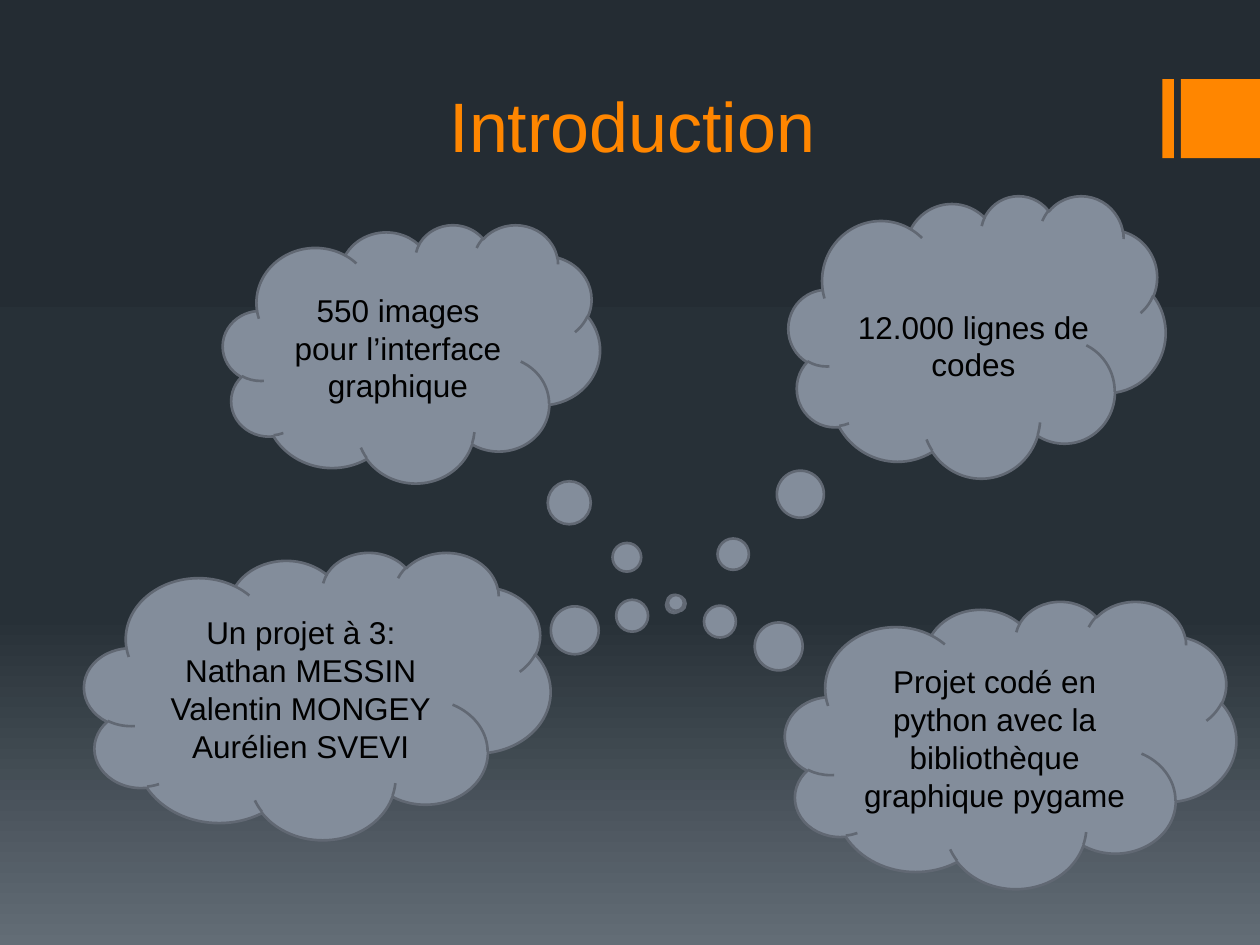
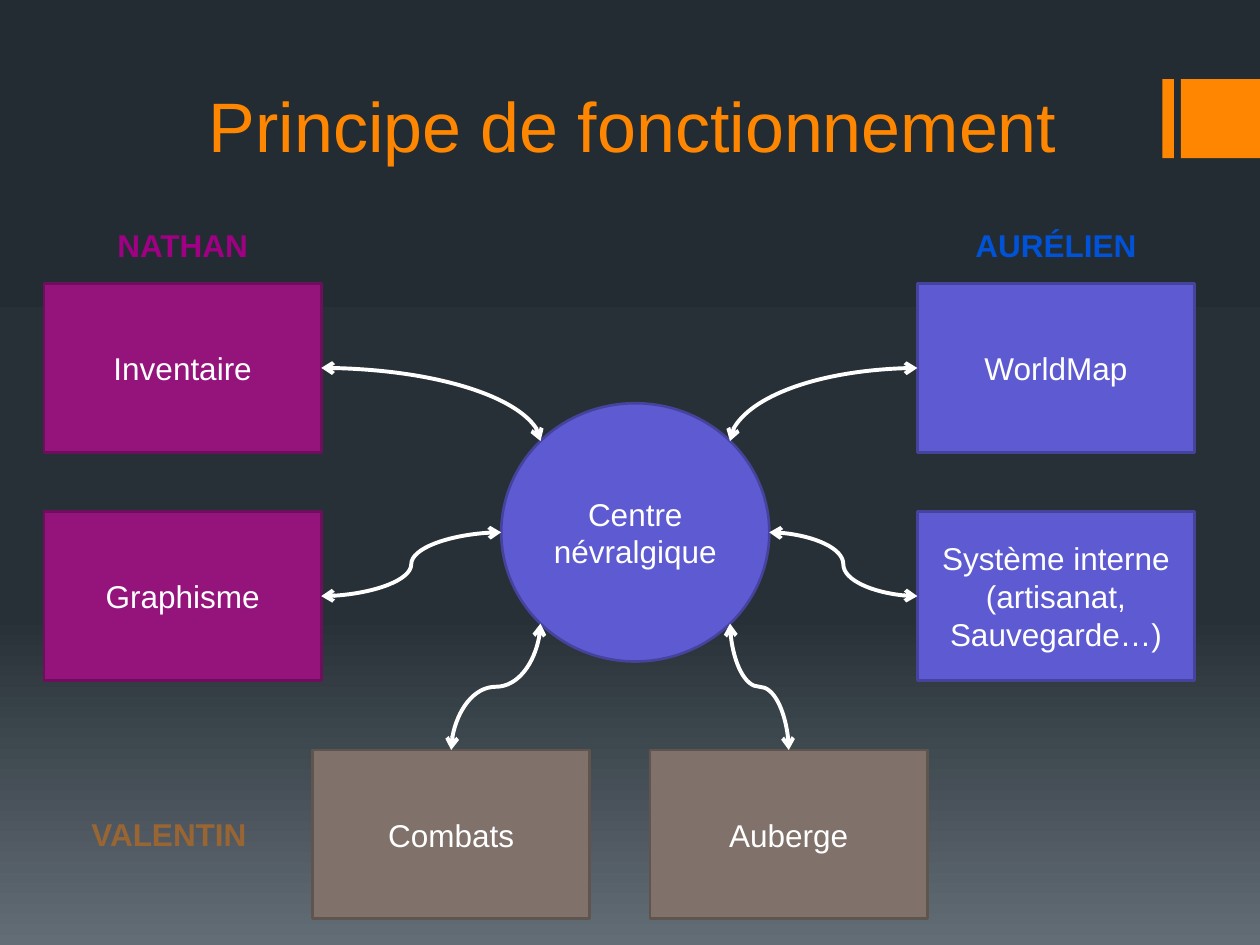
import math
from lxml import etree
from pptx import Presentation
from pptx import util as u
from pptx.dml.color import RGBColor
from pptx.enum import shapes, text
from pptx.oxml.ns import qn

FONT = "Arial"
COLOURS = {
    "accent": "FF8600",
    "cloud": "838D9B",
    "cloud_edge": "616873",
    "black": "000000",
    "white": "FFFFFF",
    "aurelien": "5D5AD2",
    "aurelien_edge": "45439B",
    "aurelien_name": "0052D6",
    "valentin": "80716A",
    "valentin_edge": "5F544E",
    "valentin_name": "996633",
    "nathan": "94147C",
    "nathan_edge": "6D0F5C",
    "nathan_name": "A00083",
}
BACKDROP = [(0, "242C33"), (65, "273037"), (100, "636D76")]
BAND_TOP, BAND_HEIGHT = 45.2, 45.2
MODULE_W, MODULE_H = 158.4, 96.5
LEFT_X, RIGHT_X = 25.2, 524.2
UPPER_Y, MIDDLE_Y, LOWER_Y = 162, 292.4, 428.6
HUB = (286.4, 230.4, 153.2, 147.6)


def rgb(colour):
    return RGBColor.from_string(COLOURS[colour])


def points(*lengths):
    return [u.Pt(length) for length in lengths]


def write(frame, words, colour, size=18, bold=False):
    frame.text = words
    frame.word_wrap = True
    for paragraph in frame.paragraphs:
        paragraph.alignment = text.PP_ALIGN.CENTER
        for run in paragraph.runs:
            run.font.name = FONT
            run.font.size = u.Pt(size)
            run.font.bold = bold
            run.font.color.rgb = rgb(colour)


def add_figure(parent, preset, box, fill, edge=None, words="", colour="white"):
    figure = parent.shapes.add_shape(preset, *points(*box))
    figure.shadow.inherit = False
    figure.fill.solid()
    figure.fill.fore_color.rgb = rgb(fill)
    if edge:
        figure.line.color.rgb = rgb(edge)
        figure.line.width = u.Pt(1.5)
    else:
        figure.line.fill.background()
    if words:
        write(figure.text_frame, words, colour)
        figure.text_frame.vertical_anchor = text.MSO_ANCHOR.MIDDLE
    return figure


def add_label(parent, box, words, colour, bold=False):
    label = parent.shapes.add_textbox(*points(*box))
    write(label.text_frame, words, colour, bold=bold)


def add_cloud(parent, box, tip, words=""):
    cloud = add_figure(parent, shapes.MSO_SHAPE.CLOUD_CALLOUT, box,
                       "cloud", "cloud_edge", words, "black")
    cloud.adjustments[0], cloud.adjustments[1] = tip


def add_module(slide, left, top, owner, words):
    add_figure(slide, shapes.MSO_SHAPE.RECTANGLE, (left, top, MODULE_W, MODULE_H),
               owner, owner + "_edge", words)


def add_curve(slide, start, end, vertical=False, single_bend=False):
    (x1, y1), (x2, y2) = start, end
    ends = (x1, y1, x2, y2)
    turn = 0
    if vertical:
        turn = 90 if y2 > y1 else 270
        mid_x, mid_y = (x1 + x2) / 2, (y1 + y2) / 2
        run = abs(y2 - y1) / 2
        rise = (x1 - x2) / 2 if turn == 90 else (x2 - x1) / 2
        ends = (mid_x - run, mid_y - rise, mid_x + run, mid_y + rise)
    curve = slide.shapes.add_connector(shapes.MSO_CONNECTOR.CURVE, *points(*ends))
    curve.line.color.rgb = rgb("white")
    curve.line.width = u.Pt(2.25)
    properties = curve.element.spPr
    if turn:
        properties.find(qn("a:xfrm")).set("rot", str(turn * 60000))
    if single_bend:
        properties.find(qn("a:prstGeom")).set("prst", "curvedConnector2")
    for side in ("a:headEnd", "a:tailEnd"):
        etree.SubElement(properties.find(qn("a:ln")), qn(side), type="arrow")
    etree.SubElement(properties, qn("a:effectLst"))


def paint_backdrop(master):
    fill = master.background.fill
    fill.gradient()
    gradient = master.element.find(".//" + qn("p:bgPr")).find(qn("a:gradFill"))
    stops = gradient.find(qn("a:gsLst"))
    for stop in list(stops):
        stops.remove(stop)
    for position, colour in BACKDROP:
        stop = etree.SubElement(stops, qn("a:gs"), pos=str(position * 1000))
        etree.SubElement(stop, qn("a:srgbClr"), val=colour)
    gradient.find(qn("a:lin")).set("ang", "5400000")


def move_bands_to_master(slide, master):
    for left, width in ((664.2, 6.6), (674.8, 45.2)):
        band = add_figure(slide, shapes.MSO_SHAPE.RECTANGLE,
                          (left, BAND_TOP, width, BAND_HEIGHT), "accent")
        master.element.cSld.spTree.append(band.element)


def add_titled_slide(deck, words):
    slide = deck.slides.add_slide(deck.slide_layouts[5])
    title = slide.shapes.title
    title.left, title.top, title.width, title.height = points(73.4, 26, 576, 90.7)
    write(title.text_frame, words, "accent", size=40)
    title.text_frame.vertical_anchor = text.MSO_ANCHOR.MIDDLE
    return slide


def fill_introduction(slide):
    code_size = slide.shapes.add_group_shape()
    add_cloud(code_size, (450.6, 111.6, 215.4, 161.4), (-0.794, 0.946))
    add_label(code_size, (481, 172.2, 150.5, 45.4), "12.000 lignes de codes", "black")
    add_cloud(slide, (48.2, 315.4, 266.4, 164.2), (0.765, -0.315),
              "Un projet à 3:\nNathan MESSIN\nValentin MONGEY\nAurélien SVEVI")
    add_cloud(slide, (127.4, 128.2, 215.4, 147.6), (0.697, 0.962),
              "550 images pour l’interface graphique")
    add_cloud(slide, (448.6, 343.4, 257.8, 164.2), (-0.742, -0.493),
              "Projet codé en python avec la bibliothèque graphique pygame")


def fill_principle(slide):
    add_figure(slide, shapes.MSO_SHAPE.OVAL, HUB, "aurelien", "aurelien_edge",
               "Centre névralgique")
    combat_x, inn_x = 178.6, 371.5
    for module in (
        (RIGHT_X, UPPER_Y, "aurelien", "WorldMap"),
        (RIGHT_X, MIDDLE_Y, "aurelien", "Système interne\n(artisanat,\nSauvegarde…)"),
        (inn_x, LOWER_Y, "valentin", "Auberge"),
        (combat_x, LOWER_Y, "valentin", "Combats"),
        (LEFT_X, MIDDLE_Y, "nathan", "Graphisme"),
        (LEFT_X, UPPER_Y, "nathan", "Inventaire"),
    ):
        add_module(slide, *module)

    left, top, width, height = HUB
    centre_x, centre_y = left + width / 2, top + height / 2
    reach_x, reach_y = width / 2 * math.sqrt(0.5), height / 2 * math.sqrt(0.5)
    for side, module_edge, lower_x in (
        (-1, LEFT_X + MODULE_W, combat_x),
        (1, RIGHT_X, inn_x),
    ):
        corner_x = centre_x + side * reach_x
        add_curve(slide, (corner_x, centre_y - reach_y),
                  (module_edge, UPPER_Y + MODULE_H / 2), vertical=True, single_bend=True)
        add_curve(slide, (centre_x + side * width / 2, centre_y),
                  (module_edge, MIDDLE_Y + MODULE_H / 2))
        add_curve(slide, (corner_x, centre_y + reach_y),
                  (lower_x + MODULE_W / 2, LOWER_Y), vertical=True)

    for label_x, label_y, owner, name in (
        (LEFT_X, 125.4, "nathan", "NATHAN"),
        (RIGHT_X, 125.4, "aurelien", "AURÉLIEN"),
        (17.4, 462.4, "valentin", "VALENTIN"),
    ):
        add_label(slide, (label_x, label_y, MODULE_W, 29), name, owner + "_name", bold=True)


def main():
    deck = Presentation()
    deck.slide_width, deck.slide_height = points(720, 540)
    paint_backdrop(deck.slide_master)
    introduction = add_titled_slide(deck, "Introduction")
    move_bands_to_master(introduction, deck.slide_master)
    fill_introduction(introduction)
    fill_principle(add_titled_slide(deck, "Principe de fonctionnement"))
    deck.save("out.pptx")


if __name__ == "__main__":
    main()
